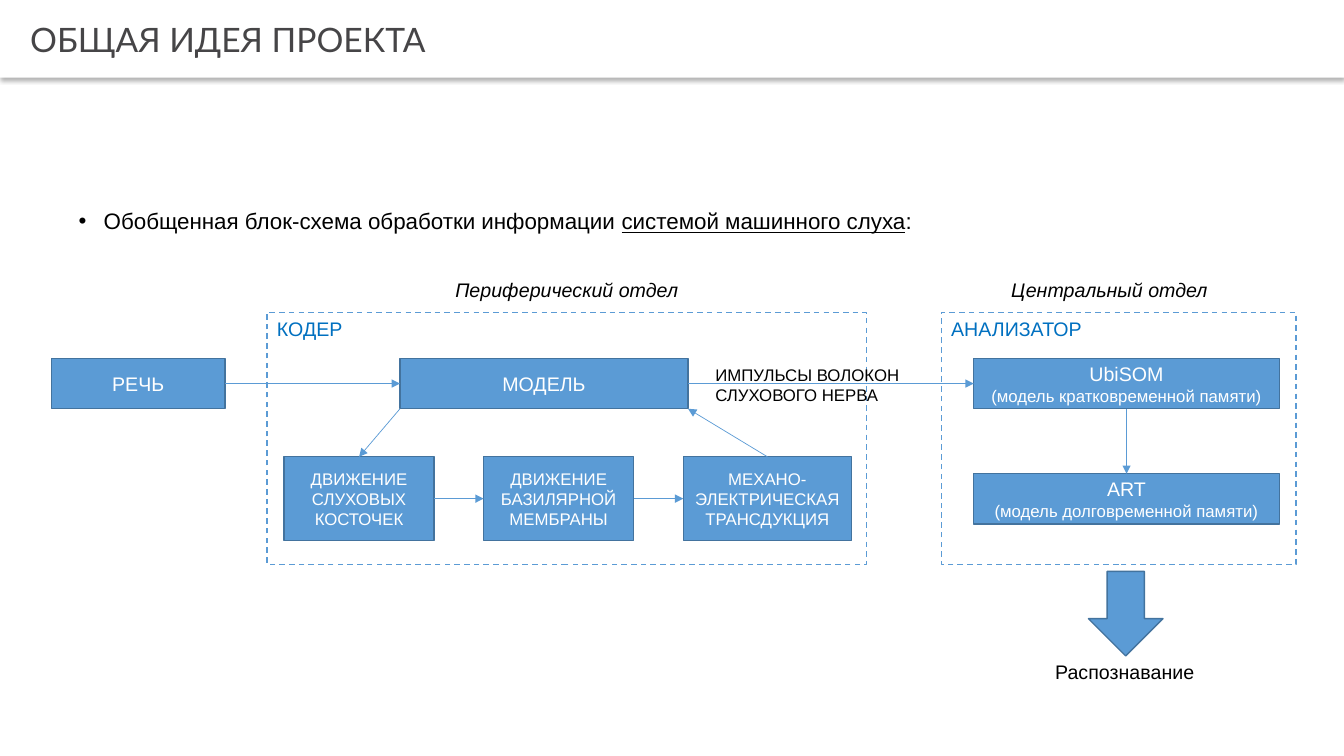
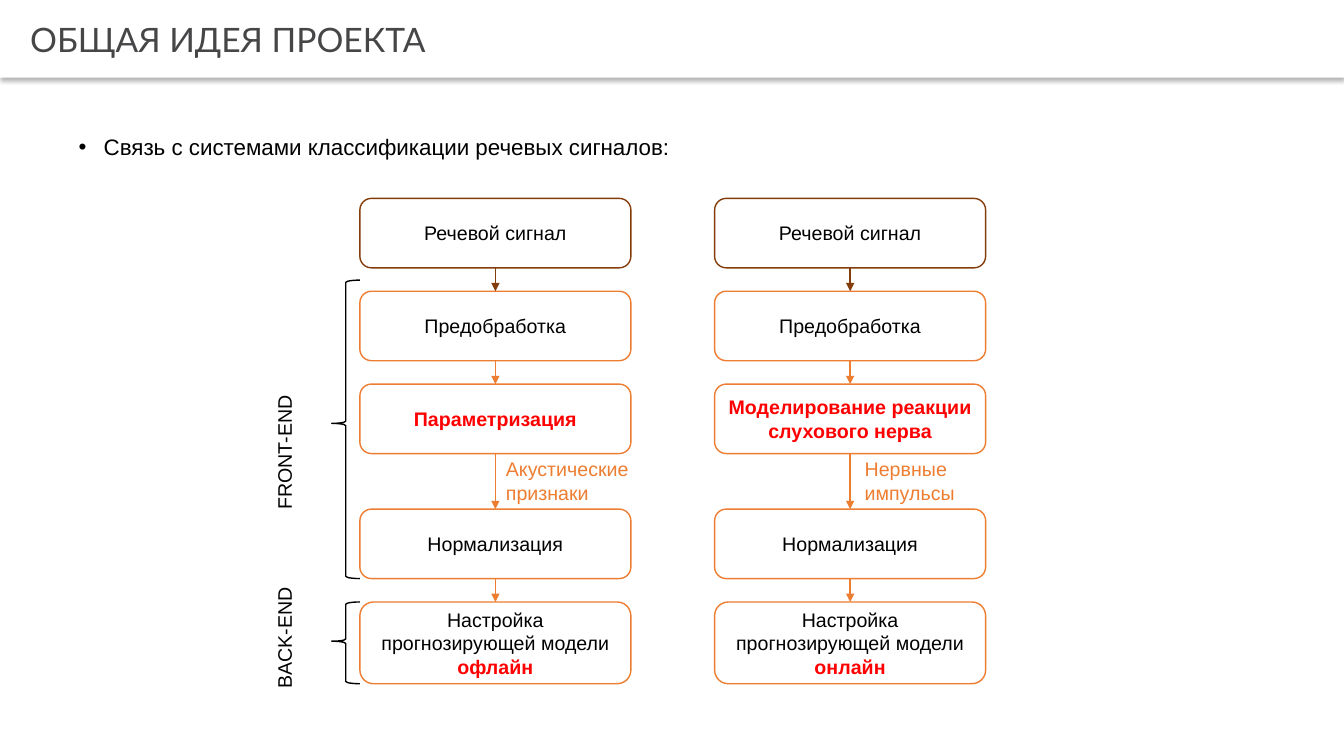
from lxml.etree import SubElement
from pptx import Presentation
from pptx.dml.color import RGBColor
from pptx.enum.dml import MSO_LINE
from pptx.enum.shapes import MSO_CONNECTOR, MSO_SHAPE
from pptx.enum.text import MSO_ANCHOR, MSO_AUTO_SIZE, PP_ALIGN
from pptx.oxml.ns import qn
from pptx.util import Cm, Pt

WHITE = RGBColor(0xFF, 0xFF, 0xFF)
BLACK = RGBColor(0x00, 0x00, 0x00)
TITLE_GREY = RGBColor(0x46, 0x45, 0x47)
BLUE = RGBColor(0x5B, 0x9B, 0xD5)
BLUE_EDGE = RGBColor(0x43, 0x73, 0x9E)
LABEL_BLUE = RGBColor(0x00, 0x70, 0xC0)
ORANGE = RGBColor(0xED, 0x7D, 0x31)
BROWN = RGBColor(0x84, 0x3C, 0x0B)
RED = RGBColor(0xFF, 0x00, 0x00)

PLAIN = {"name": "Arial", "size": Pt(14), "color": BLACK}
SMALL = {"size": Pt(12)}
LIGHT = {"color": WHITE}
LIGHT_SMALL = LIGHT | SMALL
BULLET = {"size": Pt(16)}
HEADING = {"italic": True}
LABEL = {"color": LABEL_BLUE}
NOTE = {"color": ORANGE}
ACCENT = {"color": RED, "bold": True}
TITLE = {"name": "Lato", "size": Pt(24), "color": TITLE_GREY}

SLIDE_WIDTH, SLIDE_HEIGHT = 33.87, 19.05
LINE_HEIGHT = 0.86
TITLE_TEXT = "ОБЩАЯ ИДЕЯ ПРОЕКТА"

SCHEME_BULLET = [
    ("Обобщенная блок-схема обработки информации ", BULLET),
    ("системой машинного слуха", BULLET | {"underline": True}),
    (":", BULLET),
]
FRAME_TOP, FRAME_HEIGHT = 7.87, 6.35
FRAMES = [
    ("КОДЕР", 6.73, 15.11, 2.18),
    ("АНАЛИЗАТОР", 23.72, 8.94, 3.84),
]
HEADINGS = [
    ("Периферический отдел", 6.73, 15.11),
    ("Центральный отдел", 23.72, 8.48),
]
BLOCK_TOP, BLOCK_HEIGHT = 9.03, 1.27
BLOCKS = {
    "speech": ([[("РЕЧЬ", LIGHT)]], 1.3, BLOCK_TOP, 4.37),
    "model": ([[("МОДЕЛЬ", LIGHT)]], 10.08, BLOCK_TOP, 7.26),
    "short": ([[("UbiSOM", LIGHT)], [("(модель кратковременной памяти)", LIGHT_SMALL)]],
              24.54, BLOCK_TOP, 7.7),
    "long": ([[("ART", LIGHT)], [("(модель долговременной памяти)", LIGHT_SMALL)]],
             24.54, 11.94, 7.7),
}
STAGE_LEFT, STAGE_PITCH, STAGE_TOP, STAGE_HEIGHT = 7.16, 5.03, 11.51, 2.11
STAGES = [
    ("bones", "ДВИЖЕНИЕ СЛУХОВЫХ КОСТОЧЕК", 3.78),
    ("membrane", "ДВИЖЕНИЕ БАЗИЛЯРНОЙ МЕМБРАНЫ", 3.78),
    ("transduction", "МЕХАНО-ЭЛЕКТРИЧЕСКАЯ ТРАНСДУКЦИЯ", 4.24),
]
LINKS = [
    ("speech", "right", "model", "left"),
    ("model", "right", "short", "left"),
    ("short", "bottom", "long", "top"),
    ("model", "bottom left", "bones", "top"),
    ("bones", "right", "membrane", "left"),
    ("membrane", "right", "transduction", "left"),
    ("transduction", "top", "model", "bottom right"),
]

SYSTEMS_BULLET = [("Связь с системами классификации речевых сигналов:", BULLET)]
STEP_WIDTH, STEPS_TOP = 6.83, 5.0
STEP_HEIGHTS = [1.75, 1.75, 1.75, 1.75, 2.06]
STEP_GAPS = [0.59, 0.59, 1.4, 0.59]
STEP_TOPS = [STEPS_TOP + sum(STEP_HEIGHTS[:n]) + sum(STEP_GAPS[:n]) for n in range(5)]
STEP_EDGES = [BROWN] + [ORANGE] * 4
COLUMNS = [
    (9.07, "Параметризация", "офлайн", ["Акустические признаки"], 12.5),
    (18.01, "Моделирование реакции слухового нерва", "онлайн", ["Нервные", "импульсы"], 21.54),
]
STEPS_BOTTOM = [top + height for top, height in zip(STEP_TOPS, STEP_HEIGHTS)]
BRACES = [
    ("FRONT-END", 7.06, STEPS_BOTTOM[3], 11.38, 3.43),
    ("BACK-END", STEP_TOPS[4], STEPS_BOTTOM[4], 16.05, 3.1),
]
BRACE_LEFT, BRACE_WIDTH, BRACE_LABEL_CENTER = 8.36, 0.71, 7.17

SITES = {
    "top": (0.5, 0, 0),
    "left": (0, 0.5, 1),
    "bottom": (0.5, 1, 2),
    "right": (1, 0.5, 3),
    "bottom left": (0, 1, None),
    "bottom right": (1, 1, None),
}


def write(frame, paragraphs, align=PP_ALIGN.LEFT):
    for number, spans in enumerate(paragraphs):
        para = frame.paragraphs[0] if number == 0 else frame.add_paragraph()
        para.alignment = align
        for text, style in spans:
            span = para.add_run()
            span.text = text
            for key, value in (PLAIN | style).items():
                if key == "color":
                    span.font.color.rgb = value
                else:
                    setattr(span.font, key, value)


def place(shape, left, top, width, height):
    for key, value in zip(("left", "top", "width", "height"), (left, top, width, height)):
        setattr(shape, key, Cm(value))


def add_title(page):
    band = page.shapes.title
    place(band, 0, 0, SLIDE_WIDTH, 1.96)
    band.fill.solid()
    band.fill.fore_color.rgb = WHITE
    band.line.fill.background()
    effects = SubElement(band.element.spPr, qn("a:effectLst"))
    shadow = SubElement(effects, qn("a:outerShdw"), blurRad=str(Pt(3.1)), dist=str(Pt(2)),
                        dir="5400000", algn="t", rotWithShape="0")
    tint = SubElement(shadow, qn("a:srgbClr"), val=str(BLACK))
    SubElement(tint, qn("a:alpha"), val="30000")
    settings = {"margin_left": Cm(0.76), "margin_right": Cm(0.18), "margin_top": Cm(0.1),
                "margin_bottom": Cm(0.1), "vertical_anchor": MSO_ANCHOR.MIDDLE,
                "auto_size": MSO_AUTO_SIZE.NONE}
    for key, value in settings.items():
        setattr(band.text_frame, key, value)
    write(band.text_frame, [[(TITLE_TEXT, TITLE)]])


def add_page(deck, bullet, bullet_top):
    page = deck.slides.add_slide(deck.slide_layouts[1])
    add_title(page)
    body = page.placeholders[1]
    place(body, 1.73, bullet_top, 30.48, 1.2)
    body.text_frame.auto_size = MSO_AUTO_SIZE.NONE
    write(body.text_frame, [bullet])
    para = body.text_frame.paragraphs[0]
    para.line_spacing = 0.9
    para.space_before = Pt(0)
    properties = para._p.get_or_add_pPr()
    properties.set("marL", str(Cm(0.63)))
    properties.set("indent", str(-Cm(0.63)))
    return page


def add_box(page, kind, area, fill, edge, paragraphs=()):
    box = page.shapes.add_shape(kind, *map(Cm, area))
    box.shadow.inherit = False
    if fill is None:
        box.fill.background()
    else:
        box.fill.solid()
        box.fill.fore_color.rgb = fill
    box.line.color.rgb = edge
    box.line.width = Pt(1)
    box.text_frame.vertical_anchor = MSO_ANCHOR.MIDDLE
    box.text_frame.word_wrap = True
    write(box.text_frame, paragraphs, PP_ALIGN.CENTER)
    return box


def add_text(page, area, paragraphs, align=PP_ALIGN.LEFT, wrap=True):
    box = page.shapes.add_textbox(*map(Cm, area))
    box.text_frame.word_wrap = wrap
    write(box.text_frame, paragraphs, align)
    return box


def add_arrow(page, source, source_side, target, target_side, color, width):
    points = []
    for box, side in ((source, source_side), (target, target_side)):
        across, down, _ = SITES[side]
        points += [int(box.left + across * box.width), int(box.top + down * box.height)]
    arrow = page.shapes.add_connector(MSO_CONNECTOR.STRAIGHT, *points)
    for connect, box, side in ((arrow.begin_connect, source, source_side),
                               (arrow.end_connect, target, target_side)):
        if SITES[side][2] is not None:
            connect(box, SITES[side][2])
    arrow.line.color.rgb = color
    arrow.line.width = Pt(width)
    SubElement(arrow.line._get_or_add_ln(), qn("a:tailEnd"), type="triangle")
    SubElement(arrow._element.spPr, qn("a:effectLst"))


def build_scheme(deck):
    page = add_page(deck, SCHEME_BULLET, 5.18)
    for text, left, width, label_width in FRAMES:
        frame = add_box(page, MSO_SHAPE.RECTANGLE, (left, FRAME_TOP, width, FRAME_HEIGHT),
                        None, BLUE)
        frame.line.dash_style = MSO_LINE.DASH
        add_text(page, (left, FRAME_TOP, label_width, LINE_HEIGHT), [[(text, LABEL)]], wrap=False)
    for text, left, width in HEADINGS:
        add_text(page, (left, 6.87, width, LINE_HEIGHT), [[(text, HEADING)]], PP_ALIGN.CENTER)

    boxes = {}
    for name, (paragraphs, left, top, width) in BLOCKS.items():
        boxes[name] = add_box(page, MSO_SHAPE.RECTANGLE, (left, top, width, BLOCK_HEIGHT),
                              BLUE, BLUE_EDGE, paragraphs)
    for number, (name, text, width) in enumerate(STAGES):
        area = (STAGE_LEFT + number * STAGE_PITCH, STAGE_TOP, width, STAGE_HEIGHT)
        boxes[name] = add_box(page, MSO_SHAPE.RECTANGLE, area, BLUE, BLUE_EDGE,
                              [[(text, LIGHT_SMALL)]])
    for source, source_side, target, target_side in LINKS:
        add_arrow(page, boxes[source], source_side, boxes[target], target_side, BLUE, 0.5)

    add_text(page, (17.78, 9.07, 5.21, 1.27), [[("ИМПУЛЬСЫ ВОЛОКОН СЛУХОВОГО НЕРВА", SMALL)]])
    add_box(page, MSO_SHAPE.DOWN_ARROW, (27.43, 14.4, 1.88, 2.13), BLUE, BLUE_EDGE)
    add_text(page, (26.34, 16.51, 4.04, LINE_HEIGHT), [[("Распознавание", {})]], wrap=False)


def build_systems(deck):
    page = add_page(deck, SYSTEMS_BULLET, 3.3)
    for left, method, mode, note, note_left in COLUMNS:
        steps = [
            [("Речевой сигнал", {})],
            [("Предобработка", {})],
            [(method, ACCENT)],
            [("Нормализация", {})],
            [("Настройка прогнозирующей модели ", {}), (mode, ACCENT)],
        ]
        boxes = [
            add_box(page, MSO_SHAPE.ROUNDED_RECTANGLE, (left, top, STEP_WIDTH, height),
                    WHITE, edge, [spans])
            for spans, top, height, edge in zip(steps, STEP_TOPS, STEP_HEIGHTS, STEP_EDGES)
        ]
        for upper, lower, color in zip(boxes, boxes[1:], STEP_EDGES):
            add_arrow(page, upper, "bottom", lower, "top", color, 1)
        add_text(page, (note_left, 11.39, 4.65, 1.45), [[(text, NOTE)] for text in note])

    for text, top, bottom, center, length in BRACES:
        brace = add_box(page, MSO_SHAPE.LEFT_BRACE,
                        (BRACE_LEFT, top, BRACE_WIDTH, bottom - top), None, BLACK)
        brace.adjustments[0] = 0.08
        brace.adjustments[1] = 0.48
        area = (BRACE_LABEL_CENTER - length / 2, center - LINE_HEIGHT / 2, length, LINE_HEIGHT)
        label = add_text(page, area, [[(text, {})]], wrap=False)
        label.rotation = 270


def main():
    deck = Presentation()
    deck.slide_width = Cm(SLIDE_WIDTH)
    deck.slide_height = Cm(SLIDE_HEIGHT)
    build_scheme(deck)
    build_systems(deck)
    deck.save("out.pptx")


if __name__ == "__main__":
    main()
